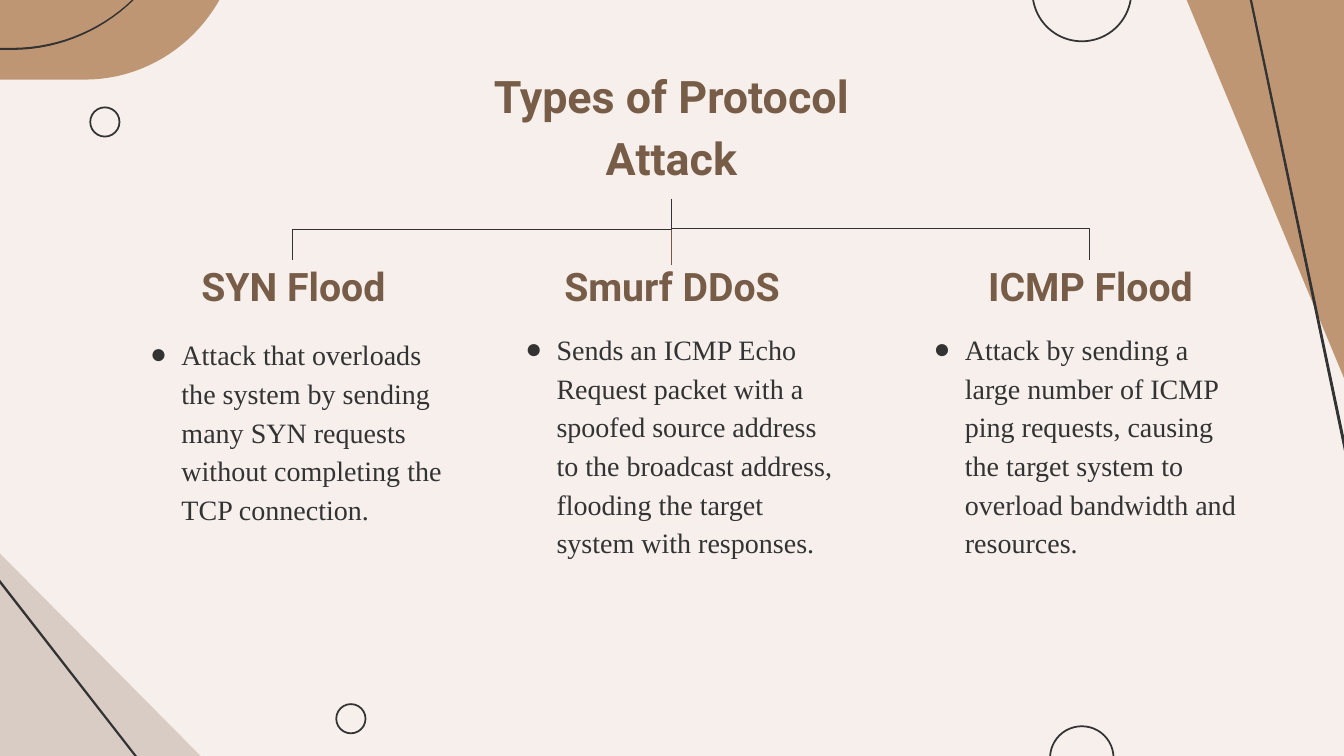
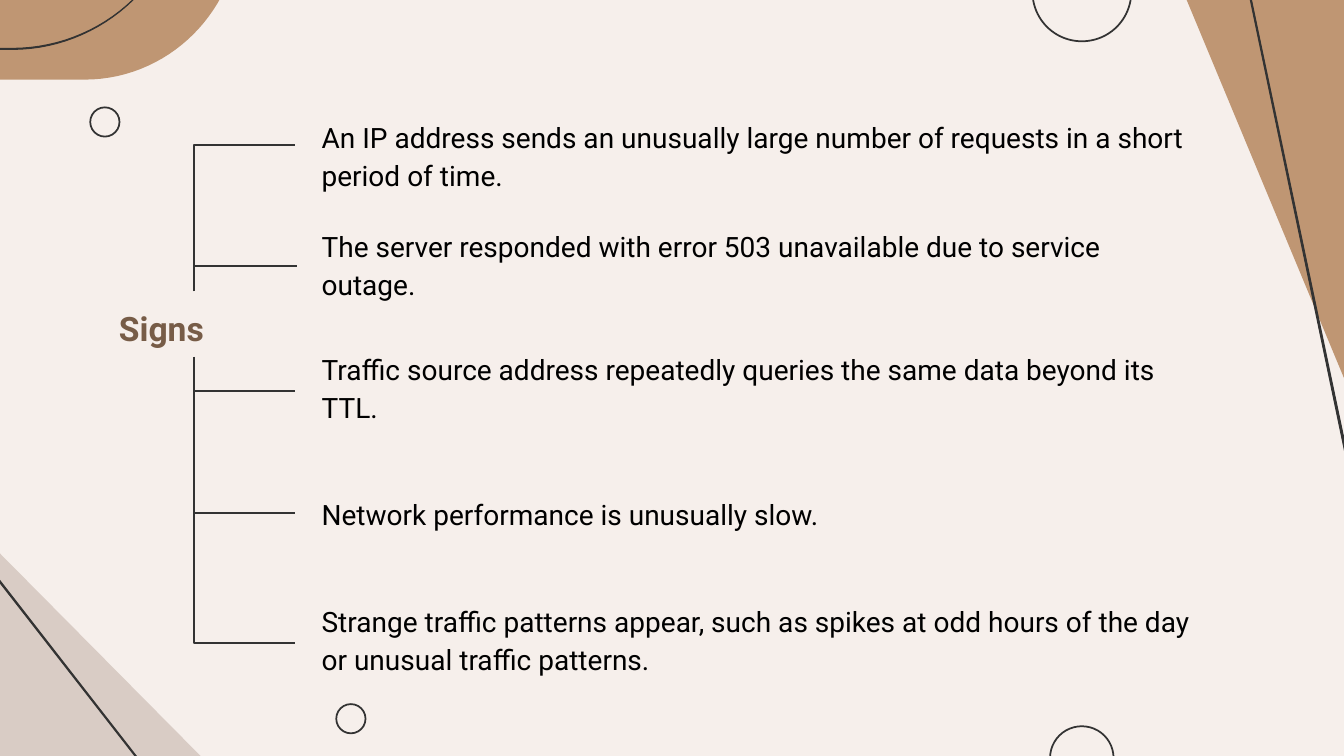
from lxml import etree
from pptx import Presentation
from pptx.dml.color import RGBColor
from pptx.enum.shapes import MSO_CONNECTOR, MSO_SHAPE
from pptx.enum.text import MSO_ANCHOR, MSO_AUTO_SIZE, PP_ALIGN
from pptx.oxml.ns import qn
from pptx.util import Inches, Pt

STRAIGHT, ELBOW = MSO_CONNECTOR.STRAIGHT, MSO_CONNECTOR.ELBOW
OVAL = MSO_SHAPE.OVAL
TOP, BOTTOM = MSO_ANCHOR.TOP, MSO_ANCHOR.BOTTOM
NO_AUTOFIT = MSO_AUTO_SIZE.NONE
LEFT, CENTER = PP_ALIGN.LEFT, PP_ALIGN.CENTER

COLUMNS, ROWS = 13.33, 7.5
COMPARISON_LAYOUT, TITLE_ONLY_LAYOUT = 4, 5
CREAM, TAN, STONE = "F6EFEB", "BF9673", "D9CCC5"
BROWN, INK, BLACK = "775C47", "333333", "000000"
TREE_INK, STEM_INK = "323232", "765A44"
SANS, SERIF = "Roboto", "Times New Roman"

ATTACKS = [
    ("SYN Flood", (1.27, 2.2, 3.28, 1), (1.39, 3.2, 3.25, 2.1),
     "Attack that overloads the system by sending many SYN requests "
     "without completing the TCP connection."),
    ("Smurf DDoS", (4.64, 2.2, 4.05, 1), (5.11, 3.15, 3.28, 2.1),
     "Sends an ICMP Echo Request packet with a spoofed source address "
     "to the broadcast address, flooding the target system with responses."),
    ("ICMP Flood", (8.79, 2.2, 4.05, 1), (9.16, 3.15, 3.25, 2.1),
     "Attack by sending a large number of ICMP ping requests, causing "
     "the target system to overload bandwidth and resources."),
]

SIGNS = [
    (2.89, (2.93, 1.44), 2.04,
     "An IP address sends an unusually large number of requests "
     "in a short period of time."),
    (2.86, (2.95, 2.64), 3.12,
     "The server responded with error 503 unavailable due to service outage."),
    (3.54, (2.93, 3.88), 4.34,
     "Traffic source address repeatedly queries the same data beyond its TTL."),
    (3.54, (2.93, 5.09), 5.4, "Network performance is unusually slow."),
    (4.84, (2.93, 6.38), 6.84,
     "Strange traffic patterns appear, such as spikes at odd hours "
     "of the day or unusual traffic patterns."),
]


def grid(*cells):
    return [Inches(cell) for cell in cells]


def color(value):
    return RGBColor.from_string(value)


def place(shape, left, top, width, height):
    shape.left, shape.top, shape.width, shape.height = grid(left, top, width, height)


def write(shape, text, size, ink, font=SANS, bold=False, align=LEFT,
          anchor=BOTTOM, inset=0.13):
    frame = shape.text_frame
    frame.word_wrap = True
    frame.auto_size = NO_AUTOFIT
    frame.vertical_anchor = anchor
    frame.margin_left = frame.margin_right = Inches(inset)
    frame.margin_top = frame.margin_bottom = Inches(inset)
    frame.text = text
    paragraph = frame.paragraphs[0]
    paragraph.alignment = align
    paragraph.line_spacing = 1.15
    paragraph.space_before = Pt(0)
    paragraph.font.name = font
    paragraph.font.size = Pt(size)
    paragraph.font.bold = bold
    paragraph.font.color.rgb = color(ink)
    return paragraph


def add_text(slide, box, text, size, ink, **style):
    write(slide.shapes.add_textbox(*grid(*box)), text, size, ink, **style)


def add_bullet(paragraph):
    properties = paragraph._p.get_or_add_pPr()
    properties.set("marL", str(Inches(0.31)))
    properties.set("indent", str(Inches(-0.35)))
    bullet_color = etree.SubElement(properties, qn("a:buClr"))
    etree.SubElement(bullet_color, qn("a:srgbClr"), val=INK)
    etree.SubElement(properties, qn("a:buFont"), typeface=SERIF)
    etree.SubElement(properties, qn("a:buChar"), char="●")


def add_line(slide, start, end, ink, width, kind=STRAIGHT):
    line = slide.shapes.add_connector(kind, *grid(*start, *end))
    line.line.color.rgb = color(ink)
    line.line.width = Pt(width)
    etree.SubElement(line._element.spPr, qn("a:effectLst"))
    return line


def set_preset(connector, preset):
    connector._element.spPr.find(qn("a:prstGeom")).set("prst", preset)


def add_upright_elbow(slide, start, end, ink, width, preset):
    across, down = end[0] - start[0], end[1] - start[1]
    clockwise = across < 0 or down < 0
    turned_x, turned_y = (down, -across) if clockwise else (-down, across)
    center_x, center_y = (start[0] + end[0]) / 2, (start[1] + end[1]) / 2
    elbow = add_line(slide, (center_x - turned_x / 2, center_y - turned_y / 2),
                     (center_x + turned_x / 2, center_y + turned_y / 2),
                     ink, width, ELBOW)
    set_preset(elbow, preset)
    degrees = 90 if clockwise else 270
    elbow._element.spPr.find(qn("a:xfrm")).set("rot", str(degrees * 60000))


def add_ring(slide, center_x, center_y, diameter):
    radius = diameter / 2
    box = grid(center_x - radius, center_y - radius, diameter, diameter)
    ring = slide.shapes.add_shape(OVAL, *box)
    ring.shadow.inherit = False
    ring.fill.background()
    ring.line.color.rgb = color(INK)
    ring.line.width = Pt(1.25)


def curve(start, control_1, control_2, end, steps=24):
    points = []
    for step in range(steps + 1):
        t = step / steps
        weights = ((1 - t) ** 3, 3 * t * (1 - t) ** 2, 3 * t ** 2 * (1 - t), t ** 3)
        corners = (start, control_1, control_2, end)
        points.append(tuple(sum(weight * corner[axis]
                                for weight, corner in zip(weights, corners))
                            for axis in (0, 1)))
    return points


def add_patch(slide, points, fill, outlined=False):
    first, *others = [grid(*point) for point in points]
    builder = slide.shapes.build_freeform(*first)
    builder.add_line_segments(others, close=True)
    patch = builder.convert_to_shape()
    patch.shadow.inherit = False
    patch.fill.solid()
    patch.fill.fore_color.rgb = color(fill)
    if outlined:
        patch.line.color.rgb = color(fill)
        patch.line.width = Pt(0.75)
    else:
        patch.line.fill.background()


def arc_edge(bottom):
    left = curve((-3.35, -0.68), (-2.95, 0.03), (-2.1, bottom), (-1.33, bottom))
    right = curve((0.12, bottom), (0.85, bottom), (1.51, 0.02), (1.75, -0.68))
    return left + right


def decorate_master(presentation, slide):
    master = presentation.slide_master
    master.background.fill.solid()
    master.background.fill.fore_color.rgb = color(CREAM)
    placeholder_count = len(slide.shapes)
    add_patch(slide, [(11.77, 0), (COLUMNS, 0), (COLUMNS, 3.75)], TAN)
    add_patch(slide, [(-0.04, 5.45), (1.99, ROWS), (-0.04, ROWS)], STONE)
    blob_left = curve((-2.22, -0.25), (-1.84, 0.35), (-1.12, 0.79), (-0.44, 0.79))
    blob_right = curve((0.84, 0.79), (1.51, 0.79), (2.08, 0.35), (2.29, -0.25))
    add_patch(slide, blob_left + blob_right, TAN)
    for ribbon in ([(12.19, -1.01), (12.2, -1.01), (13.66, 5.92), (13.64, 5.93)],
                   [(-0.43, 5.23), (-0.42, 5.22), (3, 9.62), (2.99, 9.62)],
                   arc_edge(0.49) + arc_edge(0.48)[::-1]):
        add_patch(slide, ribbon, INK, outlined=True)
    for ring in ((1.04, 1.21, 0.29), (10.73, -0.08, 0.98),
                 (3.48, 7.13, 0.29), (10.73, 7.52, 0.63)):
        add_ring(slide, *ring)
    for shape in list(slide.shapes)[placeholder_count:]:
        master.shapes.element.append(shape.element)


def add_title(slide, box, text, size, align=LEFT):
    place(slide.shapes.title, *box)
    write(slide.shapes.title, text, size, BROWN, bold=True, align=align)


def build_attacks(slide):
    add_title(slide, (4.12, 0.49, 5.08, 1.47), "Types of Protocol Attack", 32, CENTER)
    trunk_x = 6.66
    add_upright_elbow(slide, (trunk_x, 1.97), (2.9, 2.58), TREE_INK, 0.75,
                      "bentConnector3")
    right_branch = add_line(slide, (trunk_x, 2.27), (10.81, 2.58), TREE_INK, 0.75, ELBOW)
    set_preset(right_branch, "bentConnector2")
    add_line(slide, (trunk_x, 2.28), (trunk_x, 2.63), STEM_INK, 0.75)
    _, first, second, unused, third = slide.placeholders
    unused.element.getparent().remove(unused.element)
    for body, attack in zip((first, second, third), ATTACKS):
        name, heading_box, body_box, description = attack
        add_text(slide, heading_box, name, 28, BROWN, bold=True, align=CENTER)
        place(body, *body_box)
        add_bullet(write(body, description, 20, INK, font=SERIF,
                         anchor=TOP, inset=0.1))


def build_signs(slide):
    add_title(slide, (1.05, 2.88, 1.73, 0.7), "Signs", 24)
    for start_y, branch_end, bottom, sentence in SIGNS:
        add_upright_elbow(slide, (1.92, start_y), branch_end, INK, 1.5,
                          "bentConnector2")
        add_text(slide, (3.06, bottom - 0.81, 8.89, 0.81), sentence, 20, BLACK)


def main():
    presentation = Presentation()
    presentation.slide_width, presentation.slide_height = grid(COLUMNS, ROWS)
    layouts = presentation.slide_layouts
    attacks_slide = presentation.slides.add_slide(layouts[COMPARISON_LAYOUT])
    decorate_master(presentation, attacks_slide)
    build_attacks(attacks_slide)
    build_signs(presentation.slides.add_slide(layouts[TITLE_ONLY_LAYOUT]))
    presentation.save("out.pptx")


if __name__ == "__main__":
    main()
